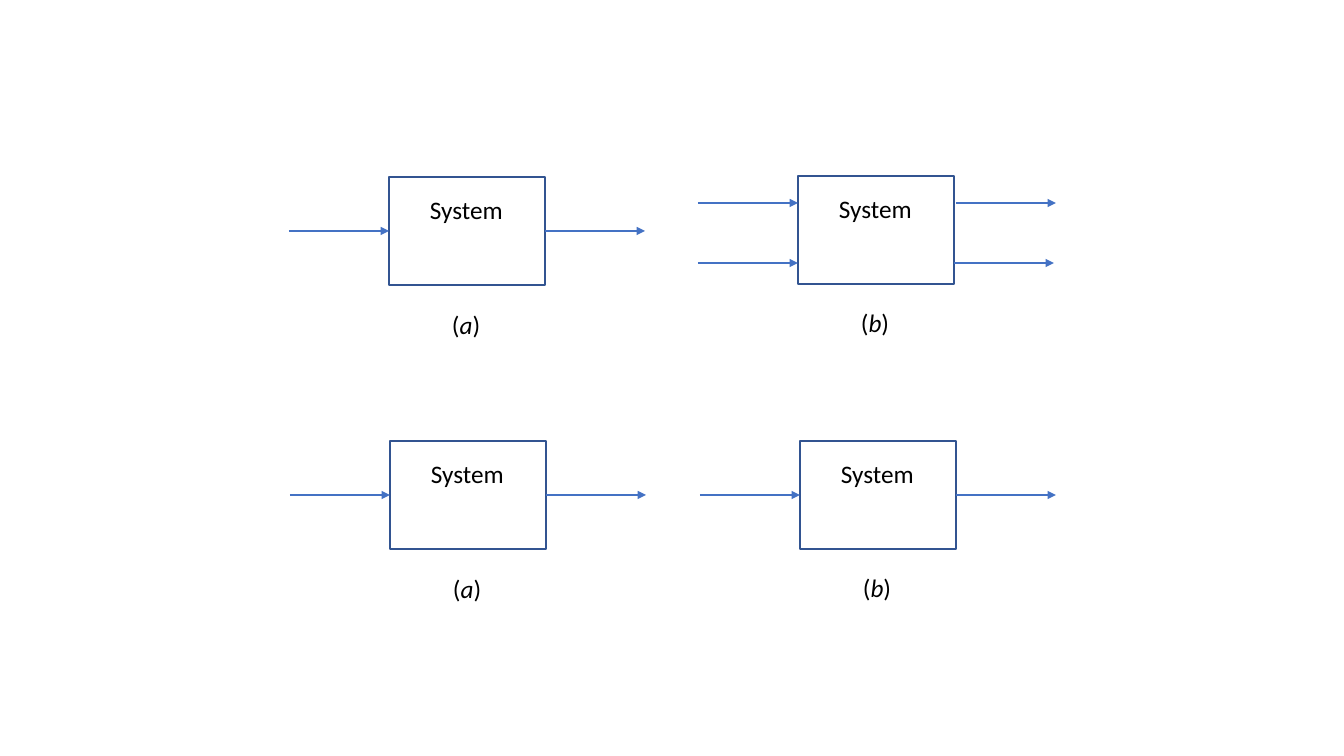
"""Build a slide of four system block diagrams with their input and output arrows."""
from dataclasses import dataclass

from lxml import etree
from pptx import Presentation
from pptx.dml.color import RGBColor
from pptx.enum.shapes import MSO_CONNECTOR, MSO_SHAPE
from pptx.enum.text import MSO_AUTO_SIZE
from pptx.oxml.ns import qn
from pptx.util import Emu, Pt

RECTANGLE = MSO_SHAPE.RECTANGLE
STRAIGHT = MSO_CONNECTOR.STRAIGHT
FIT_SHAPE = MSO_AUTO_SIZE.SHAPE_TO_FIT_TEXT
LEFT, RIGHT = 1, 3


@dataclass(frozen=True)
class Theme:
    font: str = "Calibri"
    size: Pt = Pt(18)
    line_width: Pt = Pt(1.5)
    text: RGBColor = RGBColor(0x00, 0x00, 0x00)
    outline: RGBColor = RGBColor(0x32, 0x54, 0x91)
    arrow: RGBColor = RGBColor(0x44, 0x72, 0xC4)


THEME = Theme()
PX = 914400 / 100.8
BOX_W, BOX_H, ARROW_LEN = 156, 108, 100
MIDDLE = BOX_H // 2


def px(n):
    return Emu(round(n * PX))


def add_text(shapes, text, *, x, y, w, italic="", wrap=False):
    sp = shapes.add_textbox(px(x), px(y), px(w), px(40))
    tf = sp.text_frame
    tf.word_wrap = wrap
    tf.auto_size = FIT_SHAPE
    pieces = text.partition(italic) if italic else (text,)
    for piece in pieces:
        r = tf.paragraphs[0].add_run()
        r.text = piece
        r.font.name = THEME.font
        r.font.size = THEME.size
        r.font.italic = piece == italic
        r.font.color.rgb = THEME.text


prs = Presentation()
prs.slide_width, prs.slide_height = px(1344), px(756)
s = prs.slides.add_slide(prs.slide_layouts[6])

single = [(MIDDLE, 0)]
double = [(27, 2), (87, 0)]
rows = [
    [("a", 389, 177, single), ("b", 798, 176, double)],
    [("a", 390, 441, single), ("b", 800, 441, single)],
]

for row in rows:
    shapes = s.shapes.add_group_shape().shapes
    for letter, x, y, signals in row:
        box = shapes.add_shape(RECTANGLE, px(x), px(y), px(BOX_W), px(BOX_H))
        box.shadow.inherit = False
        box.fill.background()
        box.line.color.rgb = THEME.outline
        box.line.width = THEME.line_width

        for dy, gap in signals:
            for side, start in ((LEFT, x - ARROW_LEN), (RIGHT, x + BOX_W + gap)):
                arrow = shapes.add_connector(
                    STRAIGHT, px(start), px(y + dy), px(start + ARROW_LEN), px(y + dy))
                arrow.line.color.rgb = THEME.arrow
                arrow.line.width = THEME.line_width
                ln = arrow.line._get_or_add_ln()
                etree.SubElement(ln, qn("a:tailEnd"), type="triangle")
                etree.SubElement(arrow._element.spPr, qn("a:effectLst"))
                if dy == MIDDLE:
                    join = arrow.end_connect if side == LEFT else arrow.begin_connect
                    join(box, side)

        add_text(shapes, "System", x=x + 31, y=y + 12, w=94)
        is_b = letter == "b"
        add_text(shapes, f"({letter})", x=x + 53, y=y + (126 if is_b else 127),
                 w=72 if is_b else 49, italic=letter, wrap=is_b)

prs.save("out.pptx")
